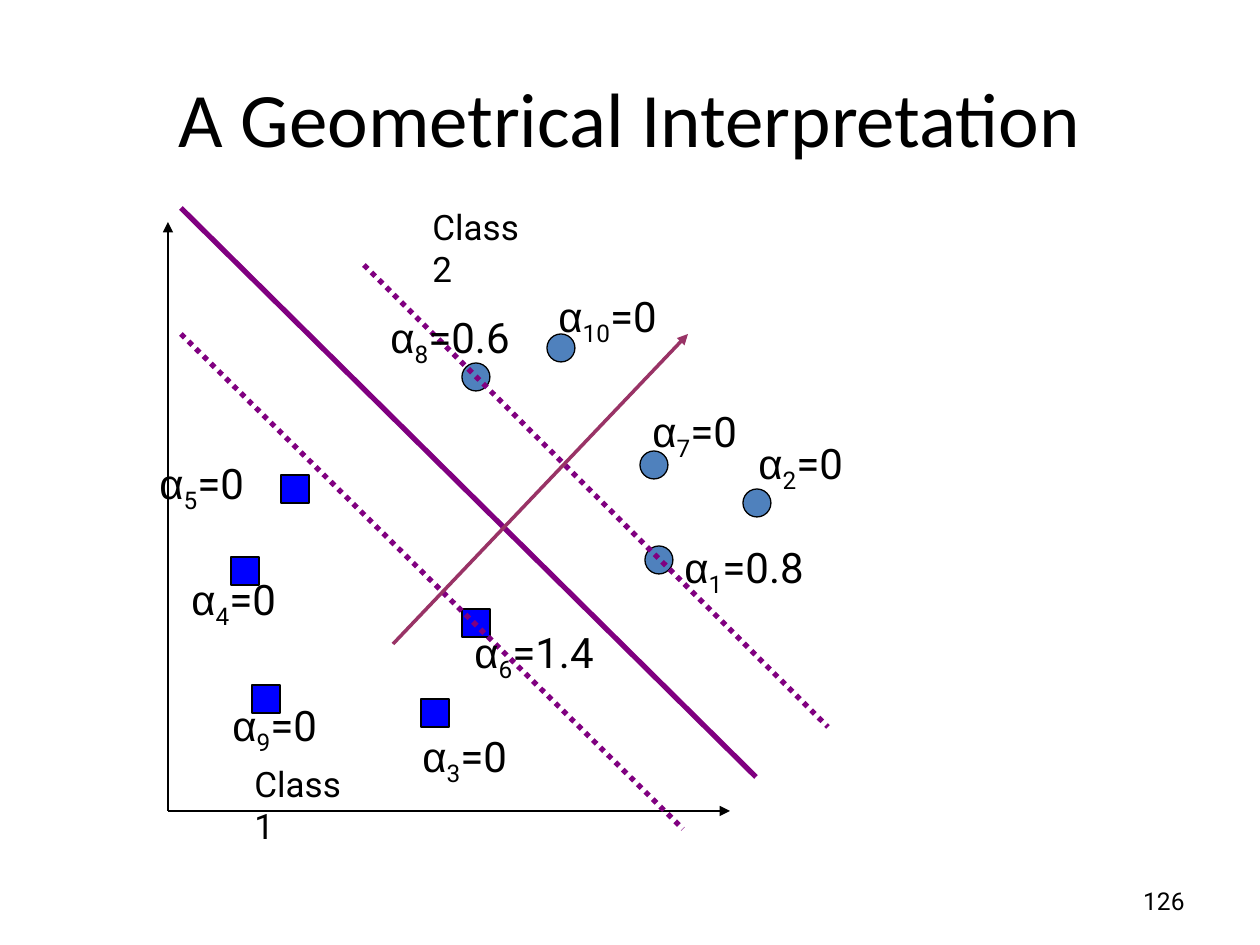
from dataclasses import dataclass

from lxml.etree import SubElement
from pptx import Presentation
from pptx.dml.color import RGBColor
from pptx.enum.dml import MSO_LINE
from pptx.enum.shapes import MSO_CONNECTOR, MSO_SHAPE
from pptx.enum.text import MSO_ANCHOR, PP_ALIGN
from pptx.oxml.ns import qn
from pptx.util import Emu, Pt

EMU_PER_PX = 914400 / 126


def px(length):
    return Emu(round(length * EMU_PER_PX))


@dataclass(frozen=True)
class Theme:
    ink: str = "000000"
    circle: str = "4F81BD"
    square: str = "0000FF"
    boundary: str = "800080"
    normal: str = "993366"
    title_font: str = "Calibri"
    body_font: str = "Roboto"
    greek_font: str = "Arial"
    title_size: int = 44
    alpha_size: int = 24
    class_size: int = 20
    number_size: int = 14
    marker: int = 28


class SlideBuilder:
    def __init__(self, slide, theme):
        self.slide = slide
        self.theme = theme

    def style_font(self, font, name, size):
        font.name = name
        font.size = Pt(size)
        font.color.rgb = RGBColor.from_string(self.theme.ink)

    def title(self, text, left, top, width, height):
        shape = self.slide.shapes.title
        shape.left, shape.top, shape.width, shape.height = map(px, (left, top, width, height))
        shape.text_frame.text = text
        shape.text_frame.vertical_anchor = MSO_ANCHOR.MIDDLE
        paragraph = shape.text_frame.paragraphs[0]
        paragraph.alignment = PP_ALIGN.CENTER
        self.style_font(paragraph.font, self.theme.title_font, self.theme.title_size)

    def text_box(self, left, top, width, height):
        """Add an empty wrapping box and return its text frame."""
        shape = self.slide.shapes.add_textbox(*map(px, (left, top, width, height)))
        shape.text_frame.word_wrap = True
        return shape.text_frame

    def text(self, text, left, top, width, height, size, alignment=PP_ALIGN.LEFT,
             anchor=MSO_ANCHOR.TOP):
        frame = self.text_box(left, top, width, height)
        frame.text = text
        frame.vertical_anchor = anchor
        paragraph = frame.paragraphs[0]
        paragraph.alignment = alignment
        self.style_font(paragraph.font, self.theme.body_font, size)

    def alpha(self, index, value, left, top, width):
        """Label a point with its multiplier, the index set as a subscript."""
        paragraph = self.text_box(left, top, width, 63).paragraphs[0]
        body = self.theme.body_font
        parts = (("α", self.theme.greek_font), (index, body), (f"={value}", body))
        for text, font_name in parts:
            run = paragraph.add_run()
            run.text = text
            self.style_font(run.font, font_name, self.theme.alpha_size)
        paragraph.runs[1]._r.get_or_add_rPr().set("baseline", "-25000")

    def marker(self, kind, color, left, top):
        size = px(self.theme.marker)
        shape = self.slide.shapes.add_shape(kind, px(left), px(top), size, size)
        shape.shadow.inherit = False
        shape.fill.solid()
        shape.fill.fore_color.rgb = RGBColor.from_string(color)
        shape.line.color.rgb = RGBColor.from_string(self.theme.ink)
        shape.line.width = Pt(0.75)

    def line(self, start, end, color, width, dotted=False, arrow=False):
        connector = self.slide.shapes.add_connector(
            MSO_CONNECTOR.STRAIGHT, *map(px, (*start, *end)))
        connector.line.color.rgb = RGBColor.from_string(color)
        connector.line.width = Pt(width)
        if dotted:
            connector.line.dash_style = MSO_LINE.ROUND_DOT
        properties = connector._element.spPr
        if arrow:
            SubElement(properties.find(qn("a:ln")), qn("a:tailEnd"), type="triangle")
        SubElement(properties, qn("a:effectLst"))


CIRCLES = [(547, 334), (640, 451), (743, 489), (462, 363), (645, 546)]
SQUARES = [(231, 557), (462, 609), (421, 699), (252, 685), (281, 475)]
ALPHAS = [
    ("1", "0.8", 672, 535, 156),
    ("2", "0", 746, 431, 121),
    ("3", "0", 410, 724, 121),
    ("4", "0", 179, 567, 121),
    ("5", "0", 147, 451, 121),
    ("6", "1.4", 462, 620, 156),
    ("7", "0", 640, 399, 121),
    ("8", "0.6", 378, 305, 158),
    ("9", "0", 220, 693, 121),
    ("10", "0", 546, 284, 136),
]


def main():
    theme = Theme()
    presentation = Presentation()
    presentation.slide_width = px(1260)
    presentation.slide_height = px(945)
    slide = presentation.slides.add_slide(presentation.slide_layouts[5])
    builder = SlideBuilder(slide, theme)

    builder.title("A Geometrical Interpretation", 63, 38, 1134, 158)
    builder.text("126", 903, 876, 294, 50, theme.number_size,
                 PP_ALIGN.RIGHT, MSO_ANCHOR.MIDDLE)

    origin = (168, 811)
    for axis_end in ((168, 222), (730, 811)):
        builder.line(origin, axis_end, theme.ink, 1, arrow=True)

    for position in CIRCLES:
        builder.marker(MSO_SHAPE.OVAL, theme.circle, *position)
    for position in SQUARES:
        builder.marker(MSO_SHAPE.RECTANGLE, theme.square, *position)

    for name, left, top in (("Class 1", 242, 756), ("Class 2", 420, 199)):
        builder.text(name, left, top, 134, 54, theme.class_size)

    for start, end in (((364, 265), (828, 727)), ((181, 334), (683, 829))):
        builder.line(start, end, theme.boundary, 3, dotted=True)
    builder.line((181, 208), (756, 777), theme.boundary, 3)
    builder.line((393, 644), (688, 334), theme.normal, 2, arrow=True)

    for label in ALPHAS:
        builder.alpha(*label)

    presentation.save("out.pptx")


if __name__ == "__main__":
    main()
